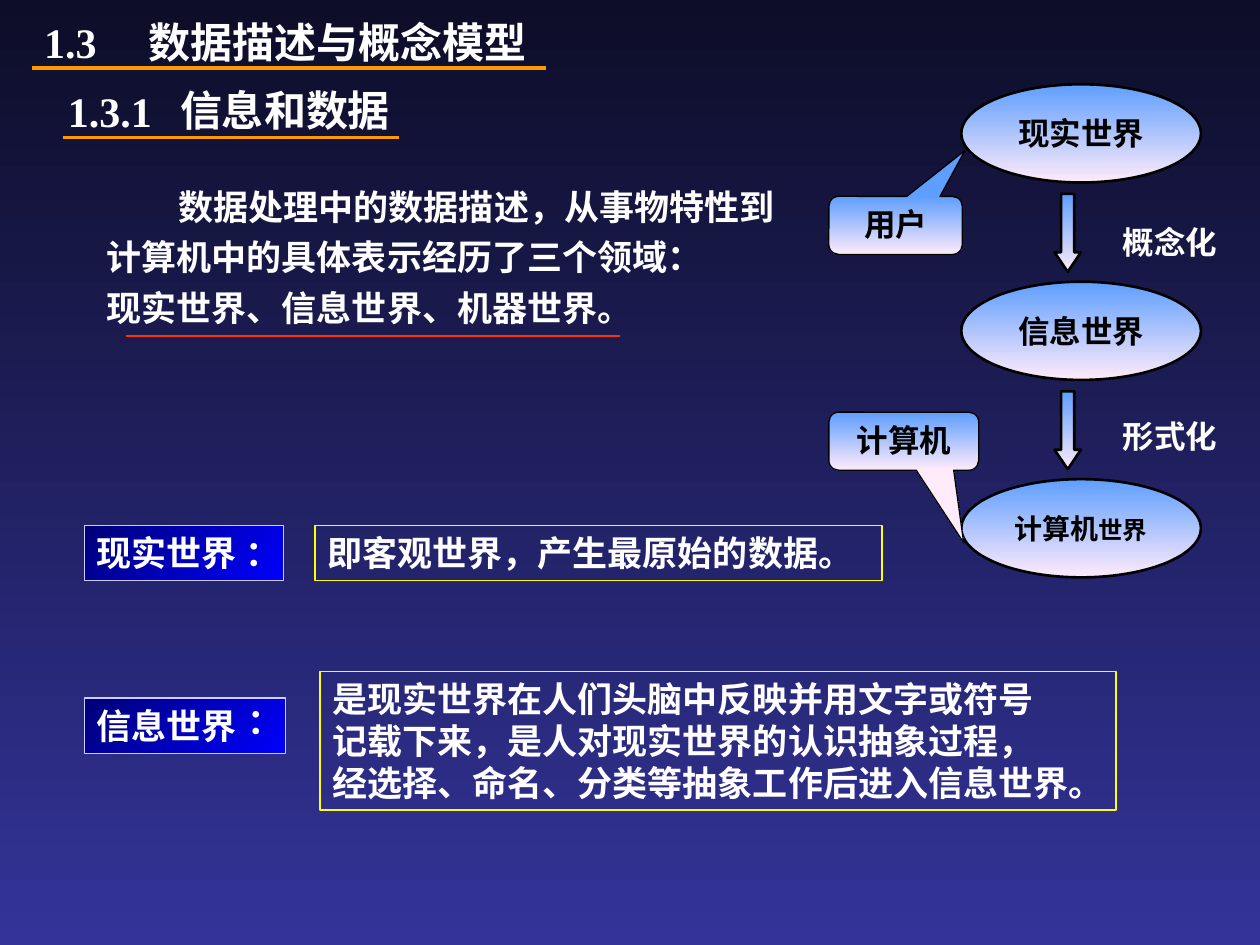
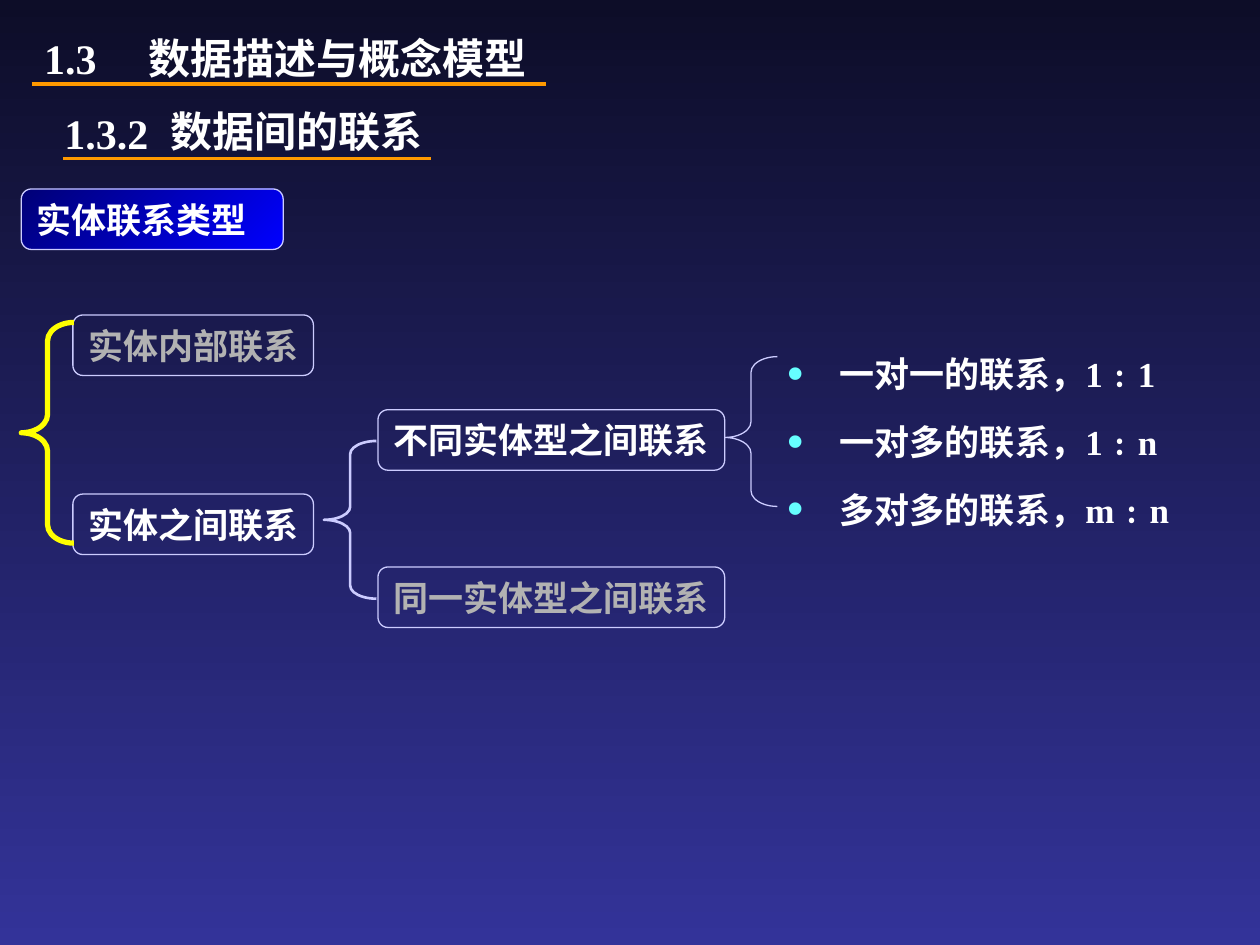
from typing import NamedTuple, Optional

from lxml.etree import SubElement
from pptx import Presentation
from pptx.dml.color import RGBColor
from pptx.enum.shapes import MSO_CONNECTOR as Link, MSO_SHAPE as Kind
from pptx.enum.text import MSO_ANCHOR as Anchor, MSO_AUTO_SIZE as Auto, PP_ALIGN as Align
from pptx.oxml.ns import qn
from pptx.util import Cm, Pt

WHITE = RGBColor(0xFF, 0xFF, 0xFF)
BLACK = RGBColor(0x00, 0x00, 0x00)
GREY = RGBColor(0xB2, 0xB2, 0xB2)
ORANGE = RGBColor(0xFF, 0x99, 0x00)
RED = RGBColor(0xFF, 0x33, 0x00)
YELLOW = RGBColor(0xFF, 0xFF, 0x00)
LILAC = RGBColor(0xCC, 0xCC, 0xFF)
CYAN = RGBColor(0x66, 0xFF, 0xFF)


class Blend(NamedTuple):
    start: RGBColor
    end: RGBColor
    angle: int


NIGHT = Blend(RGBColor(0x0D, 0x0D, 0x28), RGBColor(0x33, 0x33, 0x99), 270)
SKY = Blend(RGBColor(0x5E, 0x9E, 0xFF), RGBColor(0xFF, 0xEB, 0xFA), 270)
BLUE = Blend(RGBColor(0x00, 0x00, 0x76), RGBColor(0x00, 0x00, 0xFF), 315)

SERIF = "Times New Roman"
SANS = "Noto Sans CJK SC"


class Box(NamedTuple):
    """Place and size in centimetres."""
    left: float
    top: float
    width: float
    height: float

    def cm(self) -> list:
        return [Cm(side) for side in self]


class Run(NamedTuple):
    text: str
    size: Optional[float] = None
    face: Optional[str] = None


class Head(NamedTuple):
    """Heading of one slide: the top of each part and the length of its rule."""
    top: float
    rule: float
    mark: str
    mark_at: tuple
    name: str
    name_at: tuple
    under: float
    end: float


class Term(NamedTuple):
    name: str
    chip: Box
    colon: Box
    lines: list
    note: Box


class Node(NamedTuple):
    text: str
    box: Box
    color: RGBColor


class Brace(NamedTuple):
    box: Box
    curve: float
    mid: float
    color: RGBColor
    weight: float


def paint(fill, blend: Blend) -> None:
    fill.gradient()
    fill.gradient_angle = blend.angle
    for stop, color, pos in zip(fill.gradient_stops, blend[:2], (0, 1)):
        stop.color.rgb = color
        stop.position = pos


def write(shape, paras: list, *, size=20, face=SERIF, color=WHITE, align=Align.LEFT,
          anchor=Anchor.TOP, wrap=True, grow=True, pad=True, gap=0, lead=None,
          first=0, tab=0, bullet=None) -> None:
    """Fill a shape with paragraphs; each is a string or a list of runs."""
    frame = shape.text_frame
    frame.word_wrap = wrap
    frame.auto_size = Auto.SHAPE_TO_FIT_TEXT if grow else Auto.NONE
    frame.vertical_anchor = anchor
    if not pad:
        frame.margin_left = frame.margin_right = frame.margin_top = frame.margin_bottom = 0
    for i, runs in enumerate(paras):
        para = frame.add_paragraph() if i else frame.paragraphs[0]
        props = para._p.get_or_add_pPr()
        if bullet:
            props.set("marL", str(Cm(1.08)))
            props.set("indent", str(-Cm(1.08)))
            tint = SubElement(props, qn("a:buClr"))
            SubElement(tint, qn("a:srgbClr"), val=str(bullet))
            SubElement(props, qn("a:buSzPct"), val="150000")
            SubElement(props, qn("a:buFont"), typeface=SERIF)
            SubElement(props, qn("a:buChar"), char="•")
        elif first and i == 0:
            props.set("indent", str(Cm(first)))
        if tab:
            stops = SubElement(props, qn("a:tabLst"))
            SubElement(stops, qn("a:tab"), pos=str(Cm(tab)), algn="l")
        para.alignment = align
        if lead:
            para.line_spacing = lead
        if gap and i:
            para.space_before = Pt(gap)
        for part in [Run(runs)] if isinstance(runs, str) else runs:
            run = para.add_run()
            run.text = part.text
            font = run.font
            font.size = Pt(part.size or size)
            font.bold = True
            font.color.rgb = color
            font.name = part.face or face
            SubElement(run._r.get_or_add_rPr(), qn("a:ea"), typeface=SANS)


def label(slide, box: Box, paras: list, **form) -> None:
    write(slide.shapes.add_textbox(*box.cm()), paras, **form)


def block(slide, kind, box: Box, line: RGBColor, weight=0.75,
          blend: Optional[Blend] = None, adj: tuple = ()):
    shape = slide.shapes.add_shape(kind, *box.cm())
    shape.shadow.inherit = False
    for i, value in enumerate(adj):
        shape.adjustments[i] = value
    if blend:
        paint(shape.fill, blend)
    else:
        shape.fill.background()
    shape.line.color.rgb = line
    shape.line.width = Pt(weight)
    return shape


def rule(slide, left: float, right: float, top: float, color: RGBColor, weight: float) -> None:
    line = slide.shapes.add_connector(Link.STRAIGHT, Cm(left), Cm(top), Cm(right), Cm(top))
    line.line.color.rgb = color
    line.line.width = Pt(weight)
    SubElement(line._element.spPr, qn("a:effectLst"))


def start(deck, head: Head):
    slide = deck.slides.add_slide(deck.slide_layouts[6])
    paint(slide.background.fill, NIGHT)
    label(slide, Box(0.64, head.top, 11.43, 1.27),
          [[Run("1.3\t"), Run("数据描述与概念模型", face=SANS)]], size=24, tab=2.11)
    rule(slide, 0.64, 11, head.rule, ORANGE, 2.25)
    label(slide, Box(*head.mark_at, 3.33, 1.27), [head.mark], size=24)
    label(slide, Box(*head.name_at, 9.6, 1.27), [head.name], size=24, face=SANS,
          anchor=Anchor.MIDDLE, grow=False)
    rule(slide, 1.27, head.end, head.under, ORANGE, 1.5)
    return slide


def flow(slide) -> None:
    """Three worlds from top to bottom, with the steps and callouts beside them."""
    step = 3.98
    worlds = [["现实世界"], ["信息世界"], [Run("计算机", 16), Run("世界", 14)]]
    for i, world in enumerate(worlds):
        oval = block(slide, Kind.OVAL, Box(19.38, 1.7 + i * step, 4.83, 1.98), BLACK, 1.5, SKY)
        runs = [Run(part) if isinstance(part, str) else part for part in world]
        write(oval, [runs], size=18, face=SANS, color=BLACK, align=Align.CENTER,
              anchor=Anchor.MIDDLE, grow=False)
    for i, (name, top) in enumerate([("概念化", 4.5), ("形式化", 8.41)]):
        block(slide, Kind.DOWN_ARROW, Box(21.26, 3.91 + i * step, 0.53, 1.57), BLACK, 1.5,
              SKY, (0.5, 0.74))
        label(slide, Box(22.63, top, 1.91, 0.76), [name], size=18, face=SANS,
              wrap=False, pad=False)
    calls = [("用户", Box(16.71, 3.96, 2.69, 1.17), (0.52, -1.29, 0.17)),
             ("计算机", Box(16.71, 8.31, 3.02, 1.17), (0.4, 1.75, 0.17))]
    for name, box, adj in calls:
        call = block(slide, Kind.ROUNDED_RECTANGULAR_CALLOUT, box, BLACK, 0.75, SKY, adj)
        write(call, [name], size=18, color=BLACK, align=Align.CENTER, grow=False)


def define(slide, term: Term) -> None:
    write(block(slide, Kind.RECTANGLE, term.chip, LILAC, blend=BLUE), [term.name])
    label(slide, term.colon, ["："], wrap=False)
    write(block(slide, Kind.RECTANGLE, term.note, YELLOW), term.lines, wrap=False)


HEADS = [
    Head(0.2, 1.37, "1.3.1", (1.12, 1.6), "信息和数据", (3.38, 1.57), 2.77, 8.05),
    Head(0.53, 1.7, "1.3.2", (1.05, 2.04), "数据间的联系", (3.18, 2.01), 3.2, 8.69),
]
TERMS = [
    Term("现实世界", Box(1.7, 10.59, 4.01, 1.12), Box(4.7, 10.59, 1.22, 1.12),
         ["即客观世界，产生最原始的数据。"], Box(6.35, 10.59, 11.43, 1.12)),
    Term("信息世界", Box(1.7, 14.07, 4.06, 1.12), Box(4.75, 13.97, 1.22, 1.12),
         ["是现实世界在人们头脑中反映并用文字或符号",
          "记载下来，是人对现实世界的认识抽象过程，",
          "经选择、命名、分类等抽象工作后进入信息世界。"], Box(6.45, 13.54, 16.05, 2.79)),
]
NODES = [
    Node("实体内部联系", Box(1.47, 6.35, 4.85, 1.22), GREY),
    Node("实体之间联系", Box(1.47, 9.96, 4.85, 1.22), WHITE),
    Node("不同实体型之间联系", Box(7.62, 8.26, 6.99, 1.22), WHITE),
    Node("同一实体型之间联系", Box(7.62, 11.43, 6.99, 1.22), GREY),
]
BRACES = [
    Brace(Box(0.43, 6.5, 1.06, 4.45), 0.35, 0.5, YELLOW, 3),
    Brace(Box(6.53, 8.89, 1.06, 3.18), 0.25, 0.5, LILAC, 1.5),
    Brace(Box(14.61, 7.19, 1.06, 3.02), 0.3, 0.54, LILAC, 0.75),
]


def worlds(deck) -> None:
    slide = start(deck, HEADS[0])
    label(slide, Box(1.9, 3.61, 14.17, 3.15),
          ["数据处理中的数据描述，从事物特性到",
           "计算机中的具体表示经历了三个领域：",
           "现实世界、信息世界、机器世界。"], gap=5, first=1.45)
    rule(slide, 2.54, 12.5, 6.78, RED, 1)
    flow(slide)
    for term in TERMS:
        define(slide, term)


def ties(deck) -> None:
    slide = start(deck, HEADS[1])
    label(slide, Box(15.6, 6.73, 8.97, 4.09),
          ["一对一的联系，1﹕1", "一对多的联系，1﹕n", "多对多的联系，m﹕n"],
          gap=7.5, lead=1.3, bullet=CYAN)
    chip = block(slide, Kind.FLOWCHART_ALTERNATE_PROCESS, Box(0.43, 3.81, 5.28, 1.22),
                 LILAC, blend=BLUE)
    write(chip, ["实体联系类型"])
    for node in NODES:
        shape = block(slide, Kind.FLOWCHART_ALTERNATE_PROCESS, node.box, LILAC)
        shape.text_frame.margin_right = 0
        write(shape, [node.text], color=node.color, grow=False)
    for brace in BRACES:
        block(slide, Kind.LEFT_BRACE, brace.box, brace.color, brace.weight,
              adj=(brace.curve, brace.mid))


def main() -> None:
    deck = Presentation()
    deck.slide_width, deck.slide_height = Cm(25.4), Cm(19.05)
    worlds(deck)
    ties(deck)
    deck.save("out.pptx")


if __name__ == "__main__":
    main()
